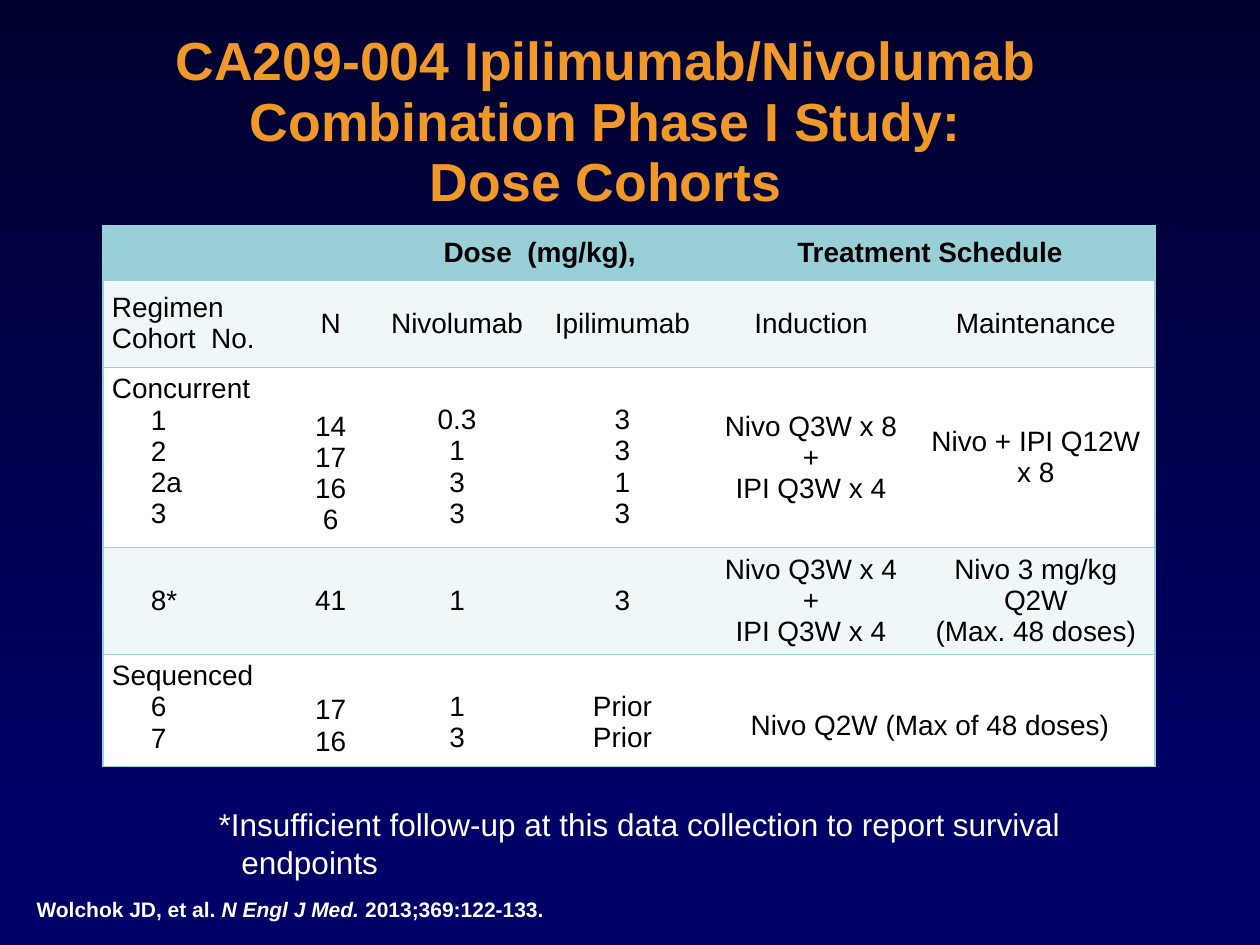
from lxml.etree import SubElement
from pptx import Presentation
from pptx.dml.color import RGBColor
from pptx.enum.shapes import MSO_SHAPE as Shape
from pptx.enum.text import MSO_ANCHOR as Anchor, MSO_AUTO_SIZE as AutoSize, PP_ALIGN as Align
from pptx.oxml import parse_xml
from pptx.oxml.ns import nsdecls, qn
from pptx.util import Pt

NIGHT = RGBColor(0x00, 0x00, 0x2F)
NAVY = RGBColor(0x00, 0x00, 0x66)
ORANGE = RGBColor(0xF0, 0x98, 0x28)
TEAL = RGBColor(0x99, 0xD0, 0xD7)
PALE = RGBColor(0xEF, 0xF7, 0xF8)
WHITE = RGBColor(0xFF, 0xFF, 0xFF)
BLACK = RGBColor(0x00, 0x00, 0x00)

TITLE_LINES = ["CA209-004 Ipilimumab/Nivolumab Combination Phase I Study:", "Dose Cohorts"]
COLUMN_WIDTHS = [105, 50, 94.5, 94.5, 121, 136]
ROW_HEIGHTS = [31, 50, 103, 61, 64]
ROW_FILLS = [TEAL, PALE, WHITE, PALE, WHITE]
MERGES = {(0, 0), (0, 2), (0, 4), (4, 4)}  # each joins its right neighbour
COHORT_ROWS = [
    ["", "", "Dose  (mg/kg),", "", "Treatment Schedule", ""],
    ["Regimen\nCohort  No.", "N", "Nivolumab", "Ipilimumab", "Induction", "Maintenance"],
    ["Concurrent\n1\n2\n2a\n3", "14\n17\n16\n6", "0.3\n1\n3\n3", "3\n3\n1\n3",
     "Nivo Q3W x 8\n+\nIPI Q3W x 4", "Nivo + IPI Q12W x 8"],
    ["8*", "41", "1", "3", "Nivo Q3W x 4\n+\nIPI Q3W x 4",
     "Nivo 3 mg/kg Q2W\n(Max. 48 doses)"],
    ["Sequenced\n6\n7", "17\n16", "1\n3", "Prior\nPrior", "Nivo Q2W (Max of 48 doses)", ""],
]
GROUP_ROWS = {2, 4}
TEXT_LINE = 17.7
COHORT_INDENT = 22.2


def write(paragraph, text, size=16, color=BLACK, bold=False, italic=False, align=None):
    run = paragraph.add_run()
    run.text = text
    font = run.font
    font.name, font.size, font.bold, font.italic = "Arial", Pt(size), bold, italic
    font.color.rgb = color
    if align is not None:
        paragraph.alignment = align
    return run


def indent(paragraph, left, first=0):
    properties = paragraph._p.get_or_add_pPr()
    properties.set("marL", str(Pt(left)))
    properties.set("indent", str(Pt(first)))


def next_paragraph(frame, index):
    return frame.paragraphs[0] if index == 0 else frame.add_paragraph()


def place(shape, left, top, width, height):
    shape.left, shape.top, shape.width, shape.height = map(Pt, (left, top, width, height))


def add_text_box(slide, box):
    frame = slide.shapes.add_textbox(*map(Pt, box)).text_frame
    frame.word_wrap = True
    return frame


def add_backdrop(slide, box):
    slide.background.fill.solid()
    slide.background.fill.fore_color.rgb = NAVY
    shape = slide.shapes.add_shape(Shape.RECTANGLE, *map(Pt, box))
    shape.shadow.inherit = False
    shape.line.fill.background()
    shape.fill.gradient()
    shape.fill.gradient_angle = 270
    for stop, color in zip(shape.fill.gradient_stops, (NIGHT, NAVY)):
        stop.color.rgb = color
    slide.shapes._spTree.insert(2, shape._element)  # behind the title


def add_text_shadow(run):
    run.font.fill._xPr.find(qn("a:solidFill")).addnext(parse_xml(
        f'<a:effectLst {nsdecls("a")}><a:outerShdw blurRad="38100" dist="38100" dir="2700000">'
        '<a:srgbClr val="000000"/></a:outerShdw></a:effectLst>'))


def fill_title(slide, box):
    title = slide.shapes.title
    place(title, *box)
    frame = title.text_frame
    frame.word_wrap = True
    frame.auto_size = AutoSize.NONE
    frame.vertical_anchor = Anchor.MIDDLE
    for index, line in enumerate(TITLE_LINES):
        paragraph = next_paragraph(frame, index)
        paragraph.line_spacing = 0.94
        add_text_shadow(write(paragraph, line, size=30.6, color=ORANGE, bold=True,
                              align=Align.CENTER))


def set_borders(cell, sides):
    """Draw the named sides (of L, R, T, B) and clear the others."""
    properties = cell._tc.get_or_add_tcPr()
    for side in "LRTB":
        line = SubElement(properties, qn(f"a:ln{side}"), w=str(Pt(1)))
        if side in sides:
            SubElement(SubElement(line, qn("a:solidFill")), qn("a:srgbClr"), val=str(TEAL))
        else:
            SubElement(line, qn("a:noFill"))


def fill_cell(cell, row, column):
    grouped = row in GROUP_ROWS
    last = column + ((row, column) in MERGES) == len(COLUMN_WIDTHS) - 1
    set_borders(cell, "TB" + "L" * (column == 0) + "R" * last)
    cell.fill.solid()
    cell.fill.fore_color.rgb = ROW_FILLS[row]
    cell.margin_left = cell.margin_right = Pt(5)
    below_heading = grouped and (column in (1, 2, 3) or (row, column) in MERGES)
    cell.margin_top = Pt(3.6 + TEXT_LINE * below_heading)
    cell.margin_bottom = Pt(3.6)
    top = grouped and column in (0, 2, 3)
    cell.vertical_anchor = Anchor.TOP if top else Anchor.MIDDLE
    text = COHORT_ROWS[row][column]
    for index, line in enumerate(text.split("\n") if text else []):
        paragraph = next_paragraph(cell.text_frame, index)
        write(paragraph, line, bold=row == 0, align=Align.CENTER if column else Align.LEFT)
        if column == 0 and (row == 3 or grouped and index > 0):
            indent(paragraph, COHORT_INDENT)


def add_cohort_table(slide, left, top):
    box = (left, top, sum(COLUMN_WIDTHS), sum(ROW_HEIGHTS))
    table = slide.shapes.add_table(len(ROW_HEIGHTS), len(COLUMN_WIDTHS), *map(Pt, box)).table
    for column, width in zip(table.columns, COLUMN_WIDTHS):
        column.width = Pt(width)
    for row, height in zip(table.rows, ROW_HEIGHTS):
        row.height = Pt(height)
    for row, column in MERGES:
        table.cell(row, column).merge(table.cell(row, column + 1))
    for row in range(len(ROW_HEIGHTS)):
        for column in range(len(COLUMN_WIDTHS)):
            fill_cell(table.cell(row, column), row, column)


def add_footnote(slide, box):
    paragraph = add_text_box(slide, box).paragraphs[0]
    indent(paragraph, 27.4, -13)
    paragraph.space_after = Pt(6)
    write(paragraph, "*Insufficient follow-up at this data collection to report survival endpoints",
          size=18, color=WHITE)


def add_citation(slide, box):
    paragraph = add_text_box(slide, box).paragraphs[0]
    for text, italic in [("Wolchok JD, et al. ", False), ("N Engl J Med. ", True),
                         ("2013;369:122-133.", False)]:
        write(paragraph, text, size=12, color=WHITE, bold=True, italic=italic)


def main():
    presentation = Presentation()
    presentation.slide_width, presentation.slide_height = Pt(720), Pt(540)
    slide = presentation.slides.add_slide(presentation.slide_layouts[5])
    add_backdrop(slide, (0, 0, 720, 462))
    fill_title(slide, (11.5, 34, 669, 72.5))
    add_cohort_table(slide, 59, 129)
    add_footnote(slide, (103.5, 456.5, 510, 51))
    add_citation(slide, (13.8, 509, 473, 21.6))
    presentation.save("out.pptx")


if __name__ == "__main__":
    main()
